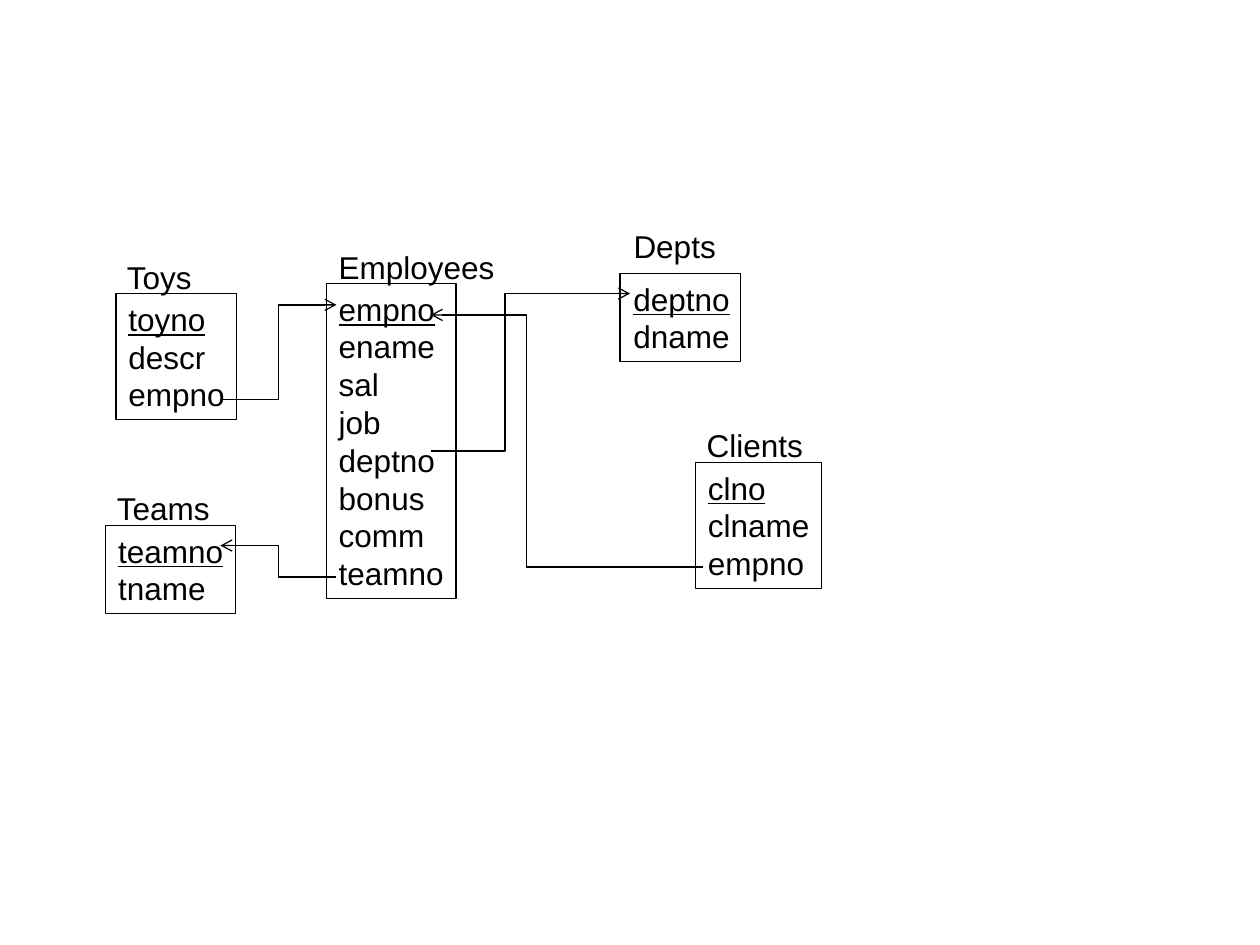
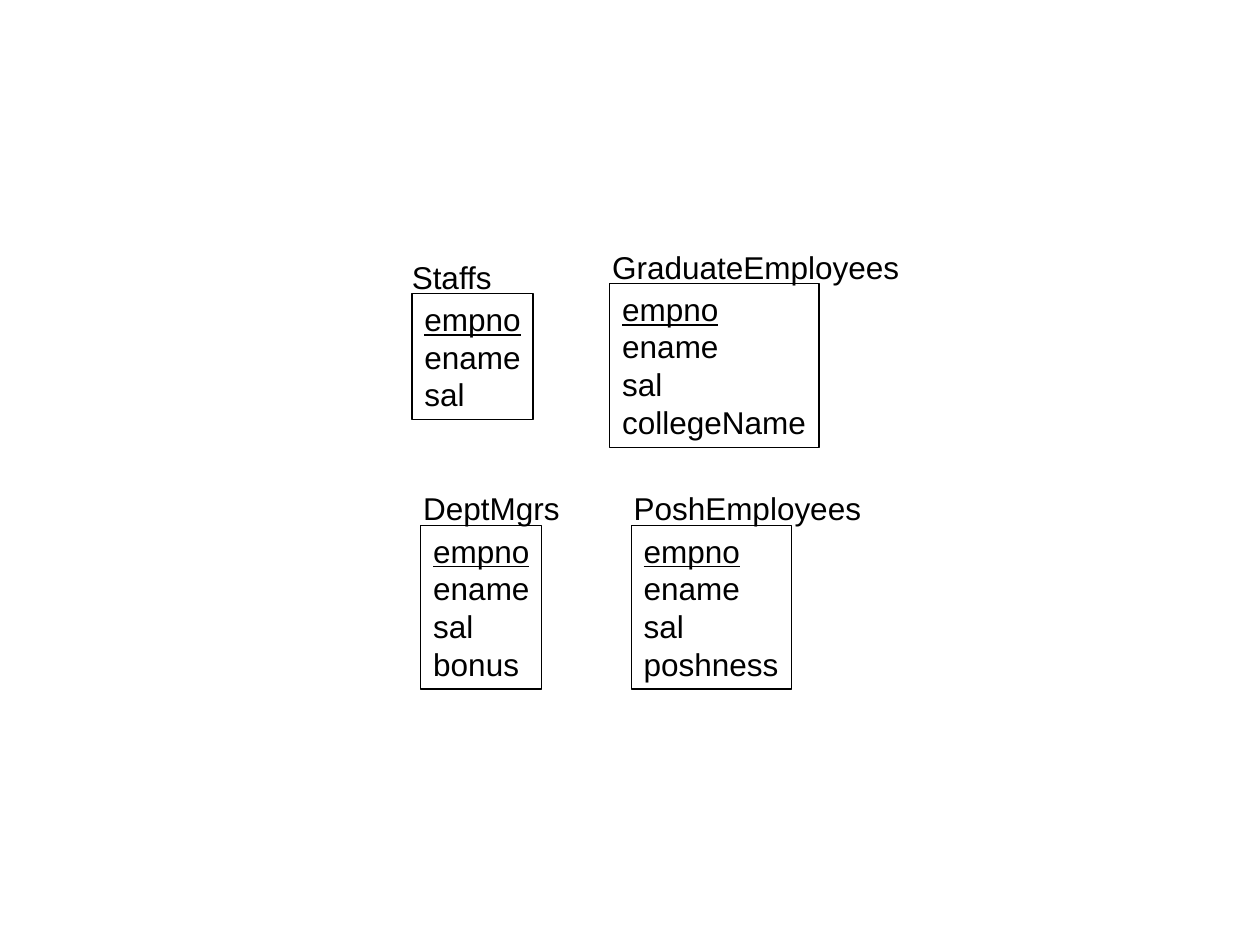
from pptx import Presentation
from pptx.dml.color import RGBColor
from pptx.enum.shapes import MSO_CONNECTOR, MSO_SHAPE
from pptx.enum.text import MSO_ANCHOR, MSO_AUTO_SIZE, PP_ALIGN
from pptx.oxml.ns import qn
from pptx.util import Inches, Pt
from lxml import etree

BLACK = RGBColor(0x00, 0x00, 0x00)
WHITE = RGBColor(0xFF, 0xFF, 0xFF)
LEFT, CENTER = PP_ALIGN.LEFT, PP_ALIGN.CENTER
TOP = MSO_ANCHOR.TOP
GROW = MSO_AUTO_SIZE.SHAPE_TO_FIT_TEXT
RECT = MSO_SHAPE.RECTANGLE
ELBOW = MSO_CONNECTOR.ELBOW

FONT = {"name": "Arial", "size": Pt(18)}
# The right margin is a little smaller so that the widest word never wraps.
FRAME = {
    "margin_left": Inches(0.1), "margin_right": Inches(0.08),
    "margin_top": Inches(0.05), "margin_bottom": Inches(0.05),
    "vertical_anchor": TOP, "word_wrap": False, "auto_size": GROW,
}
LINE_WIDTH = Pt(0.75)
ROW_HEIGHT = 0.3
PADDING = 0.1

# name, (title left, top, width), (box left, top, width), fields (key first), alignment
COMPANY_TABLES = [
    ("Toys", (0.91, 2, 0.74), (0.92, 2.33, 0.96), "toyno descr empno", LEFT),
    ("Employees", (2.59, 1.92, 1.43), (2.59, 2.25, 1.03),
     "empno ename sal job deptno bonus comm teamno", LEFT),
    ("Depts", (4.92, 1.75, 0.85), (4.92, 2.17, 0.96), "deptno dname", CENTER),
    ("Teams", (0.83, 3.83, 0.96), (0.84, 4.17, 1.03), "teamno tname", LEFT),
    ("Clients", (5.51, 3.33, 0.96), (5.52, 3.67, 1), "clno clname empno", LEFT),
]
STAFF_TABLES = [
    ("Staffs", (3.17, 2, 0.84), (3.27, 2.33, 0.96), "empno ename sal", LEFT),
    ("DeptMgrs", (3.26, 3.83, 1.28), (3.34, 4.17, 0.96),
     "empno ename sal bonus", LEFT),
    ("GraduateEmployees", (4.76, 1.92, 2.48), (4.84, 2.25, 1.66),
     "empno ename sal collegeName", LEFT),
    ("PoshEmployees", (4.93, 3.83, 2), (5.01, 4.17, 1.27),
     "empno ename sal poshness", LEFT),
]
# foreign key end, primary key end, x of the vertical part
REFERENCES = [
    ((2.67, 4.58), (1.75, 4.33), 2.21),
    ((1.75, 3.17), (2.67, 2.42), 2.21),
    ((3.42, 3.58), (5, 2.33), 4.01),
    ((5.58, 4.5), (3.42, 2.5), 4.18),
]


def set_all(target, values):
    for name, value in values.items():
        setattr(target, name, value)


def write_lines(sp, lines, align, key=None):
    """Fill a shape with one paragraph per line, underlining the key field."""
    tf = sp.text_frame
    set_all(tf, FRAME)
    for i, line in enumerate(lines):
        p = tf.paragraphs[0] if i == 0 else tf.add_paragraph()
        p.alignment = align
        r = p.add_run()
        r.text = line
        set_all(r.font, FONT)
        r.font.color.rgb = BLACK
        if line == key:
            r.font.underline = True


def text_area(left, top, width, rows):
    return [Inches(v) for v in (left, top, width, rows * ROW_HEIGHT + PADDING)]


def add_entity(slide, name, title_at, box_at, fields, align):
    """Group a table name with the box that lists its fields."""
    shapes = slide.shapes.add_group_shape().shapes
    title = shapes.add_textbox(*text_area(*title_at, 1))
    write_lines(title, [name], align)

    fields = fields.split()
    box = shapes.add_shape(RECT, *text_area(*box_at, len(fields)))
    box.shadow.inherit = False
    box.fill.background()
    box.line.color.rgb = BLACK
    box.line.width = LINE_WIDTH
    write_lines(box, fields, align, key=fields[0])


def add_reference(slide, start, end, bend_x):
    """Draw an elbow arrow from a foreign key to the key it refers to."""
    c = slide.shapes.add_connector(ELBOW, *[Inches(v) for v in start + end])
    c.line.color.rgb = BLACK
    c.line.width = LINE_WIDTH
    spPr = c.element.spPr
    bend = round((bend_x - start[0]) / (end[0] - start[0]) * 100000)
    guides = spPr.find(qn("a:prstGeom")).find(qn("a:avLst"))
    etree.SubElement(guides, qn("a:gd"), name="adj1", fmla=f"val {bend}")
    etree.SubElement(spPr.find(qn("a:ln")), qn("a:tailEnd"), type="arrow")
    etree.SubElement(spPr, qn("a:effectLst"))


def add_diagram(prs, tables, references=()):
    slide = prs.slides.add_slide(prs.slide_layouts[6])
    slide.background.fill.solid()
    slide.background.fill.fore_color.rgb = WHITE
    for table in tables:
        add_entity(slide, *table)
    for reference in references:
        add_reference(slide, *reference)


def main():
    prs = Presentation()
    prs.slide_width, prs.slide_height = Inches(10), Inches(7.5)
    add_diagram(prs, COMPANY_TABLES, REFERENCES)
    add_diagram(prs, STAFF_TABLES)
    prs.save("out.pptx")


if __name__ == "__main__":
    main()
